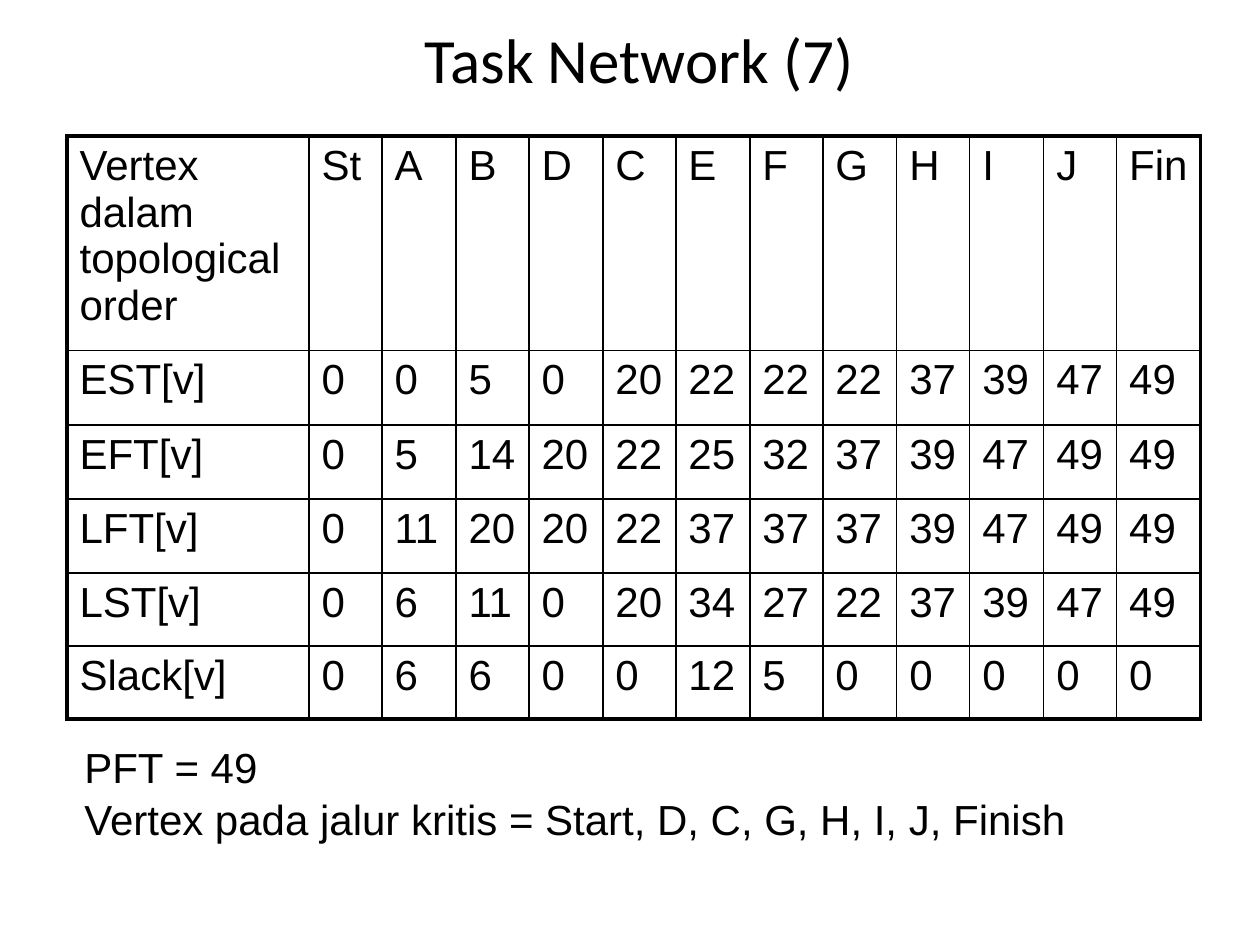
import pptx
import pptx.dml.color
import pptx.enum.text
import pptx.oxml.ns
import pptx.util
from lxml import etree

EMU_PER_PX = 914400 // 126
BLACK = "000000"
THIN, THICK = 1, 2.25

COLUMN_WIDTHS = [242] + [73, 74] * 5 + [73, 84]
ROW_HEIGHTS = [214, 75, 74, 74, 73, 73]
SCHEDULE = [
    ["Vertex dalam topological order", *"St A B D C E F G H I J Fin".split()],
    ["EST[v]", 0, 0, 5, 0, 20, 22, 22, 22, 37, 39, 47, 49],
    ["EFT[v]", 0, 5, 14, 20, 22, 25, 32, 37, 39, 47, 49, 49],
    ["LFT[v]", 0, 11, 20, 20, 22, 37, 37, 37, 39, 47, 49, 49],
    ["LST[v]", 0, 6, 11, 0, 20, 34, 27, 22, 37, 39, 47, 49],
    ["Slack[v]", 0, 6, 6, 0, 0, 12, 5, 0, 0, 0, 0, 0],
]


def px(length):
    return pptx.util.Emu(length * EMU_PER_PX)


def color(value):
    return pptx.dml.color.RGBColor.from_string(value)


def style_text(frame, font_name, size):
    for paragraph in frame.paragraphs:
        paragraph.font.name = font_name
        paragraph.font.size = pptx.util.Pt(size)
        paragraph.font.color.rgb = color(BLACK)


def add_text(slide, box, text, font_name, size, wrap=True):
    frame = slide.shapes.add_textbox(*map(px, box)).text_frame
    frame.word_wrap = wrap
    frame.text = text
    style_text(frame, font_name, size)
    return frame


def add_border(cell, side, width):
    qn = pptx.oxml.ns.qn
    line = etree.SubElement(cell._tc.get_or_add_tcPr(), qn(f"a:ln{side}"))
    line.set("w", str(pptx.util.Pt(width)))
    fill = etree.SubElement(line, qn("a:solidFill"))
    etree.SubElement(fill, qn("a:srgbClr")).set("val", BLACK)


def add_schedule(slide, left, top):
    row_count, column_count = len(ROW_HEIGHTS), len(COLUMN_WIDTHS)
    size = (sum(COLUMN_WIDTHS), sum(ROW_HEIGHTS))
    table = slide.shapes.add_table(
        row_count, column_count, px(left), px(top), *map(px, size)
    ).table
    table.first_row = False
    table.horz_banding = False
    for column, width in zip(table.columns, COLUMN_WIDTHS):
        column.width = px(width)
    for row, height in zip(table.rows, ROW_HEIGHTS):
        row.height = px(height)
    for r, values in enumerate(SCHEDULE):
        for c, value in enumerate(values):
            cell = table.cell(r, c)
            cell.text = str(value)
            style_text(cell.text_frame, "Arial", 24)
            outer_sides = {
                "L": c == 0,
                "R": c == column_count - 1,
                "T": r == 0,
                "B": r == row_count - 1,
            }
            for side, is_outer in outer_sides.items():
                add_border(cell, side, THICK if is_outer else THIN)
            cell.fill.background()


def main():
    deck = pptx.Presentation()
    deck.slide_width, deck.slide_height = px(1260), px(945)
    slide = deck.slides.add_slide(deck.slide_layouts[6])

    title = add_text(slide, (72, 0, 1134, 116), "Task Network (7)", "Calibri", 36)
    title.vertical_anchor = pptx.enum.text.MSO_ANCHOR.MIDDLE
    title.paragraphs[0].alignment = pptx.enum.text.PP_ALIGN.CENTER

    add_schedule(slide, 67, 136)

    critical_path = add_text(
        slide,
        (72, 735, 1008, 113),
        "PFT = 49\nVertex pada jalur kritis = Start, D, C, G, H, I, J, Finish",
        "Arial",
        24,
        wrap=False,
    )
    critical_path.auto_size = pptx.enum.text.MSO_AUTO_SIZE.SHAPE_TO_FIT_TEXT
    critical_path.paragraphs[1].space_before = pptx.util.Pt(1)

    deck.save("out.pptx")


if __name__ == "__main__":
    main()
